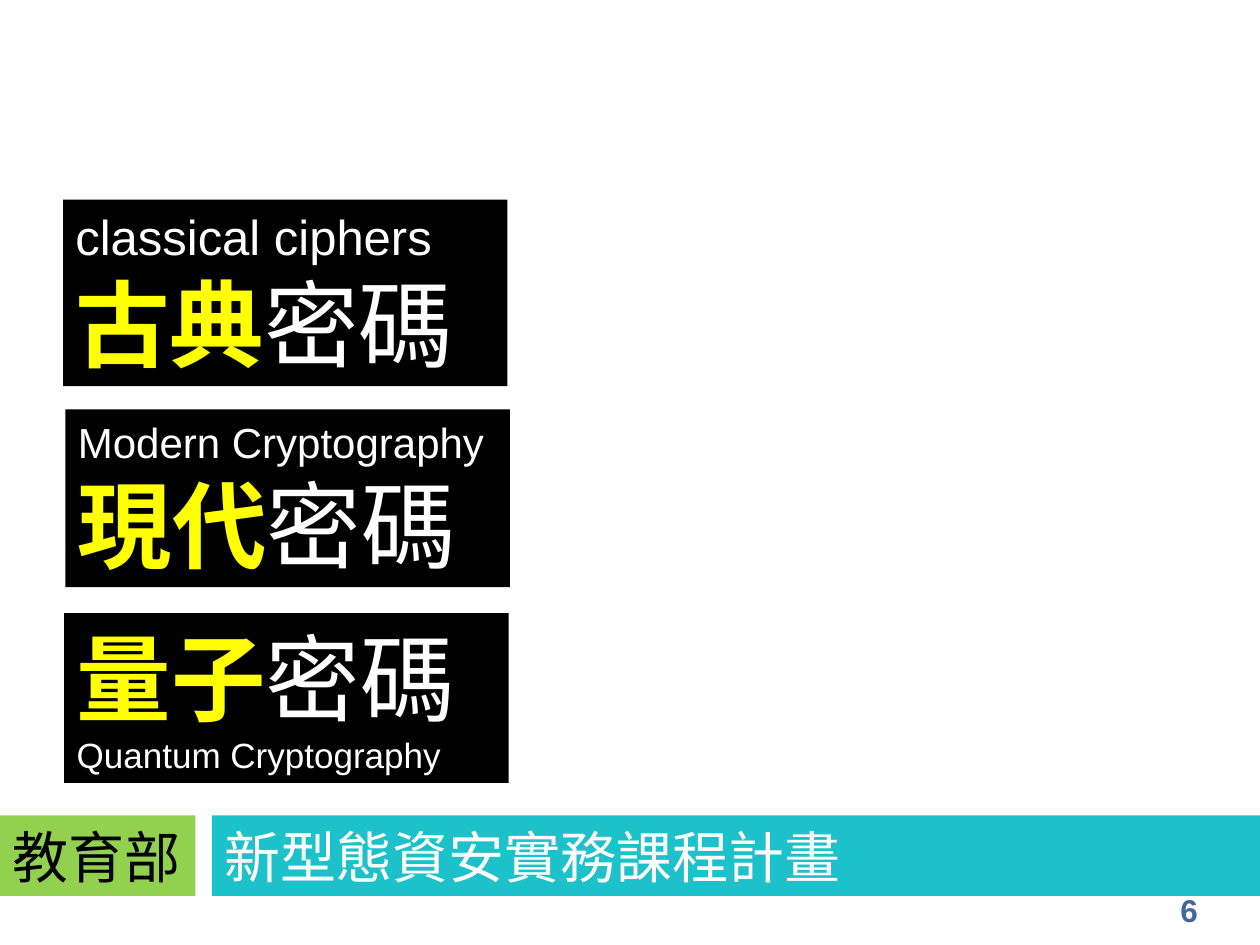
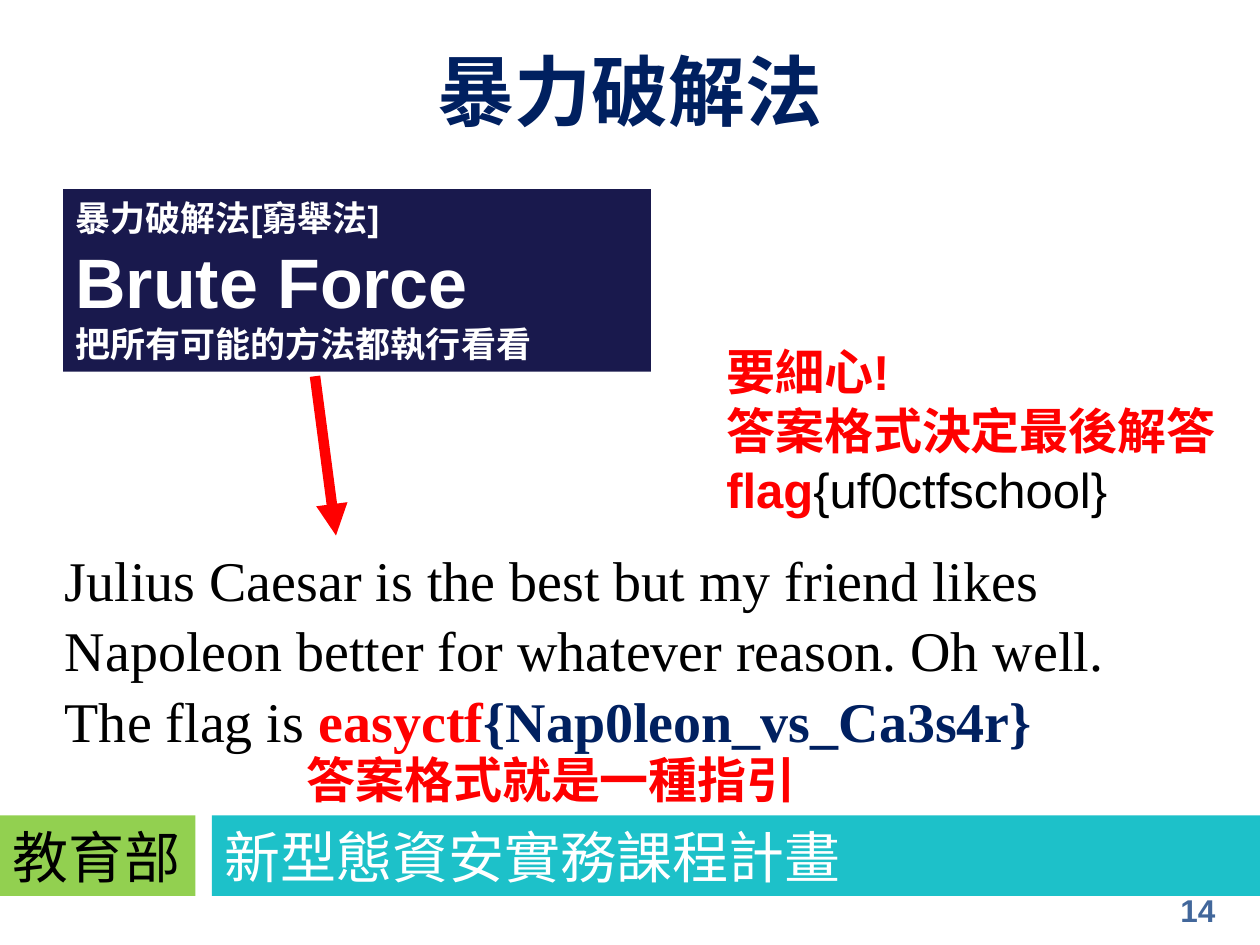
from dataclasses import dataclass

from lxml.etree import SubElement
from pptx import Presentation
from pptx.dml.color import RGBColor
from pptx.enum.shapes import MSO_CONNECTOR, MSO_SHAPE
from pptx.enum.text import MSO_ANCHOR, PP_ALIGN
from pptx.oxml.ns import qn
from pptx.util import Pt


@dataclass(frozen=True)
class Theme:
    """Colours, fonts and type sizes shared by the slides."""
    white: str = "FFFFFF"
    black: str = "000000"
    yellow: str = "FFFF00"
    red: str = "FF0000"
    navy: str = "002060"
    indigo: str = "19194D"
    teal: str = "1DC1C9"
    green: str = "92D050"
    page: str = "42679B"
    sans: str = "Arial"
    serif: str = "Times New Roman"
    band: str = "Lato"
    east_asian: str = "Lato"
    cipher_size: int = 54
    title_size: int = 44
    method_size: int = 40
    body_size: int = 32
    note_size: int = 28
    era_size: int = 24
    small_size: int = 20
    page_size: int = 18


T = Theme()


class Deck:
    """Draws elements in the theme's style on the current slide."""

    def __init__(self):
        """Start a 4:3 presentation."""
        self.prs = Presentation()
        self.prs.slide_width, self.prs.slide_height = Pt(720), Pt(540)
        self.s = None

    def slide(self):
        """Make a new blank slide current."""
        self.s = self.prs.slides.add_slide(self.prs.slide_layouts[6])

    def set_lines(self, sp, lines, font, anchor, align=PP_ALIGN.LEFT, spacing=None):
        """Fill a shape with lines of (text, size, colour, bold) runs."""
        tf = sp.text_frame
        tf.word_wrap = True
        tf.vertical_anchor = anchor
        for i, line in enumerate(lines):
            p = tf.add_paragraph() if i else tf.paragraphs[0]
            p.alignment = align
            if spacing:
                p.line_spacing = spacing
            for text, size, colour, bold in line:
                r = p.add_run()
                r.text = text
                r.font.name = font
                r.font.size = Pt(size)
                r.font.bold = bold
                r.font.color.rgb = RGBColor.from_string(colour)
                ea = SubElement(r._r.get_or_add_rPr(), qn("a:ea"))
                ea.set("typeface", T.east_asian)

    def text(self, box, lines, font=T.sans, **options):
        """Add a text box."""
        sp = self.s.shapes.add_textbox(*map(Pt, box))
        self.set_lines(sp, lines, font, MSO_ANCHOR.TOP, **options)

    def panel(self, box, fill, lines, font=T.sans):
        """Add a filled rectangle with text."""
        sp = self.s.shapes.add_shape(MSO_SHAPE.RECTANGLE, *map(Pt, box))
        sp.shadow.inherit = False
        sp.fill.solid()
        sp.fill.fore_color.rgb = RGBColor.from_string(fill)
        sp.line.fill.background()
        self.set_lines(sp, lines, font, MSO_ANCHOR.MIDDLE)
        return sp

    def title(self, text):
        """Add the slide title."""
        self.text((36, 21.6, 648, 44.6), [[(text, T.title_size, T.navy, True)]],
                  T.serif, align=PP_ALIGN.CENTER)

    def arrow(self, start, end, colour, width):
        """Add a straight arrow."""
        c = self.s.shapes.add_connector(MSO_CONNECTOR.STRAIGHT, *map(Pt, start + end))
        c.line.color.rgb = RGBColor.from_string(colour)
        c.line.width = Pt(width)
        properties = c._element.spPr
        SubElement(properties.find(qn("a:ln")), qn("a:tailEnd")).set("type", "triangle")
        SubElement(properties, qn("a:effectLst"))

    def footer(self, number):
        """Add the ministry and programme bands and the page number."""
        top, height = 466, 46
        bands = [
            self.panel((left, top, width, height), fill,
                       [[(text, T.body_size, colour, False)]], T.band)
            for left, width, fill, text, colour in (
                (121, 599, T.teal, "新型態資安實務課程計畫", T.white),
                (0, 111.6, T.green, "教育部", T.black))]
        self.s.shapes.add_group_shape(shapes=bands)
        self.text((667.4, 505.4, 46.8, 28.8),
                  [[(str(number), T.page_size, T.page, True)]])


def cipher_slide(deck):
    """Build the overview of the three cipher eras."""
    deck.slide()

    def name(era):
        """Return the Chinese name with its era highlighted."""
        return [(era, T.cipher_size, T.yellow, True),
                ("密碼", T.cipher_size, T.white, False)]

    def english(text, size):
        """Return the English name."""
        return [(text, size, T.white, False)]

    for left, top, height, lines in (
            (36, 114, 106.6, [english("classical ciphers", T.note_size), name("古典")]),
            (37.4, 234, 101.6, [english("Modern Cryptography", T.era_size), name("現代")]),
            (36.7, 350.4, 97, [name("量子"), english("Quantum Cryptography", T.small_size)])):
        deck.panel((left, top, 254, height), T.black, lines)
    deck.footer(6)


def brute_force_slide(deck):
    """Build the brute force example."""
    deck.slide()
    deck.title("暴力破解法")
    deck.panel((36, 108, 336, 104.4), T.indigo, [
        [(text, size, T.white, True)] for text, size in (
            ("暴力破解法[窮舉法]", T.small_size),
            ("Brute Force", T.method_size),
            ("把所有可能的方法都執行看看", T.small_size))])
    deck.arrow((180, 215), (192, 306), T.red, 6)
    deck.text((30, 306, 648, 132), [[
        ("Julius Caesar is the best but my friend likes Napoleon better "
         "for whatever reason. Oh well. The flag is ", T.body_size, T.black, False),
        ("easyctf", T.body_size, T.red, True),
        ("{Nap0leon_vs_Ca3s4r}", T.body_size, T.navy, True)]],
        T.serif, spacing=1.05)

    def note(text):
        """Return a red emphasised run."""
        return (text, T.note_size, T.red, True)

    deck.text((168, 425, 298, 41), [[note("答案格式就是一種指引")]])
    deck.text((408, 191.6, 298, 108.6), [
        [note("要細心!")],
        [note("答案格式決定最後解答")],
        [note("flag"), ("{uf0ctfschool}", T.note_size, T.black, False)]])
    deck.footer(14)


def main():
    """Build and save the presentation."""
    deck = Deck()
    cipher_slide(deck)
    brute_force_slide(deck)
    deck.prs.save("out.pptx")


if __name__ == "__main__":
    main()
